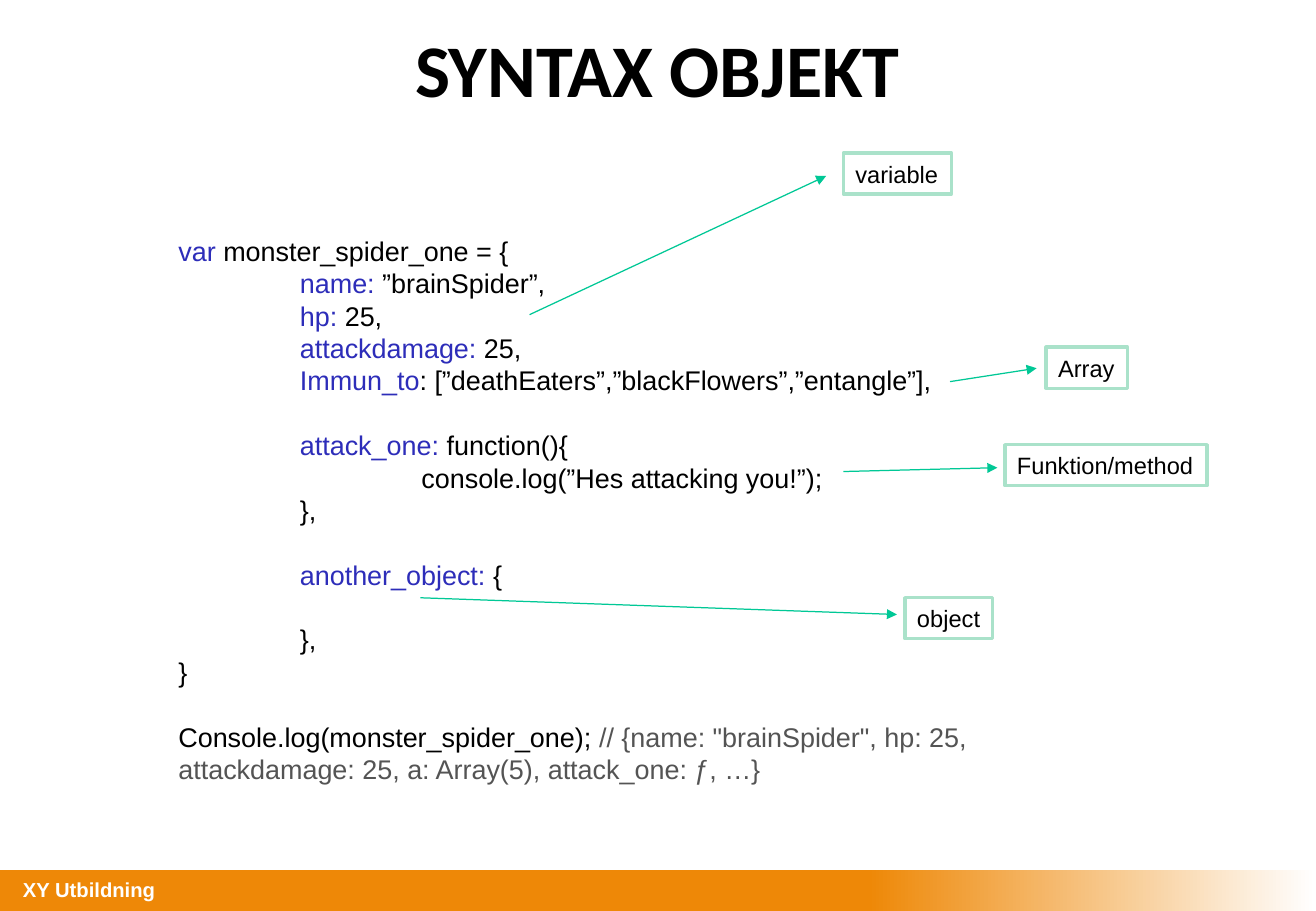
from copy import deepcopy

from pptx import Presentation
from pptx import util as u
from pptx.dml.color import RGBColor
from pptx.enum import shapes, text
from pptx.oxml.ns import qn
from pptx.oxml.xmlchemy import OxmlElement

BLACK = RGBColor(0x00, 0x00, 0x00)
WHITE = RGBColor(0xFF, 0xFF, 0xFF)
ORANGE = RGBColor(0xEE, 0x88, 0x07)
BLUE = RGBColor(0x2D, 0x2D, 0xB9)
GRAY = RGBColor(0x54, 0x54, 0x54)
GREEN = RGBColor(0x00, 0xC8, 0x96)
MINT = RGBColor(0xAA, 0xE2, 0xCA)

LINE_HEIGHT = u.Pt(19.2)
INDENT = u.Cm(2.54)


def add_run(paragraph, words, size, color, bold=False, font="Arial"):
    run = paragraph.add_run()
    run.text = words
    run.font.name = font
    run.font.size = u.Pt(size)
    run.font.bold = bold
    run.font.color.rgb = color


def set_margins(frame, margin):
    frame.margin_left = frame.margin_right = u.Cm(margin)
    frame.margin_top = frame.margin_bottom = u.Cm(margin)


presentation = Presentation()
presentation.slide_width = u.Cm(27.51)
presentation.slide_height = u.Cm(19.05)
slide = presentation.slides.add_slide(presentation.slide_layouts[5])

# Footer bar: orange, fading to white over the last third
bar = slide.shapes.add_shape(
    shapes.MSO_SHAPE.RECTANGLE, 0, u.Cm(18.19), presentation.slide_width, u.Cm(0.86))
bar.shadow.inherit = False
bar.line.fill.background()
bar.fill.gradient()
bar.fill.gradient_angle = 0
stop_list = bar._element.spPr.find(".//" + qn("a:gsLst"))
stop_list.insert(1, deepcopy(stop_list[0]))
fade = [(0, ORANGE), (0.66, ORANGE), (1, WHITE)]
for stop, (position, color) in zip(bar.fill.gradient_stops, fade):
    stop.position = position
    stop.color.rgb = color

footer = slide.shapes.add_textbox(u.Cm(0.48), u.Cm(18.34), u.Cm(8.84), u.Cm(0.51))
set_margins(footer.text_frame, 0)
footer.text_frame.word_wrap = True
add_run(footer.text_frame.paragraphs[0], "XY Utbildning", 12, WHITE, bold=True)

# Title
title = slide.shapes.title
title.left, title.top = u.Cm(1.24), u.Cm(0.33)
title.width, title.height = u.Cm(25.02), u.Cm(2.18)
title_frame = title.text_frame
set_margins(title_frame, 0.13)
title_frame.auto_size = text.MSO_AUTO_SIZE.NONE
title_frame.vertical_anchor = text.MSO_ANCHOR.MIDDLE
title_frame.paragraphs[0].alignment = text.PP_ALIGN.CENTER
add_run(title_frame.paragraphs[0], "SYNTAX OBJEKT", 44, BLACK, bold=True, font="Calibri")

# Code: indent level, gap above, coloured pieces
code_lines = [
    (0, False, [("var ", BLUE), ("monster_spider_one = {", BLACK)]),
    (1, False, [("name:", BLUE), (" ”brainSpider”,", BLACK)]),
    (1, False, [("hp:", BLUE), (" 25,", BLACK)]),
    (1, False, [("attackdamage:", BLUE), (" 25,", BLACK)]),
    (1, False, [("Immun_to", BLUE),
                (": [”deathEaters”,”blackFlowers”,”entangle”],", BLACK)]),
    (1, True, [("attack_one: ", BLUE), ("function(){", BLACK)]),
    (2, False, [("console.log(”Hes attacking you!”);", BLACK)]),
    (1, False, [("},", BLACK)]),
    (1, True, [("another_object:", BLUE), (" {", BLACK)]),
    (1, True, [("},", BLACK)]),
    (0, False, [("}", BLACK)]),
    (0, True, [("Console.log(monster_spider_one); ", BLACK),
               ("// {name: \"brainSpider\", hp: 25, attackdamage: 25, "
                "a: Array(5), attack_one: ƒ,\u00a0…}", GRAY)]),
]
code = slide.shapes.add_textbox(u.Cm(3.48), u.Cm(4.78), u.Cm(18.39), u.Cm(11.89))
code.text_frame.word_wrap = True
for index, (level, gap, pieces) in enumerate(code_lines):
    paragraph = code.text_frame.paragraphs[0] if index == 0 else code.text_frame.add_paragraph()
    paragraph.line_spacing = LINE_HEIGHT
    paragraph.space_before = LINE_HEIGHT if gap else u.Pt(0)
    properties = paragraph._p.get_or_add_pPr()
    properties.set("marL", str(level * INDENT))
    properties.set("indent", "0")
    for words, color in pieces:
        add_run(paragraph, words, 16, color)

# Labels: name, box left, top and width, arrow start and end
labels = [
    ("object", (18.92, 12.5, 1.83), (8.79, 12.5), (18.75, 12.85)),
    ("Funktion/method", (21.01, 9.3, 4.22), (17.63, 9.86), (20.85, 9.78)),
    ("Array", (21.87, 7.26, 1.7), (19.86, 7.98), (21.67, 7.7)),
    ("variable", (17.63, 3.2, 2.26), (11.07, 6.58), (17.27, 3.68)),
]
for name, (left, top, width), start, end in labels:
    arrow = slide.shapes.add_connector(
        shapes.MSO_CONNECTOR.STRAIGHT, *[u.Cm(value) for value in start + end])
    arrow.line.color.rgb = GREEN
    arrow.line.width = u.Pt(0.75)
    head = OxmlElement("a:tailEnd")
    head.set("type", "triangle")
    arrow.line._get_or_add_ln().append(head)
    arrow._element.spPr.append(OxmlElement("a:effectLst"))

    box = slide.shapes.add_shape(
        shapes.MSO_SHAPE.RECTANGLE, u.Cm(left), u.Cm(top), u.Cm(width), u.Cm(0.86))
    box.shadow.inherit = False
    box.fill.solid()
    box.fill.fore_color.rgb = WHITE
    box.line.color.rgb = MINT
    box.line.width = u.Pt(2)
    box.text_frame.word_wrap = False
    box.text_frame.paragraphs[0].alignment = text.PP_ALIGN.LEFT
    add_run(box.text_frame.paragraphs[0], name, 14, BLACK)

presentation.save("out.pptx")
